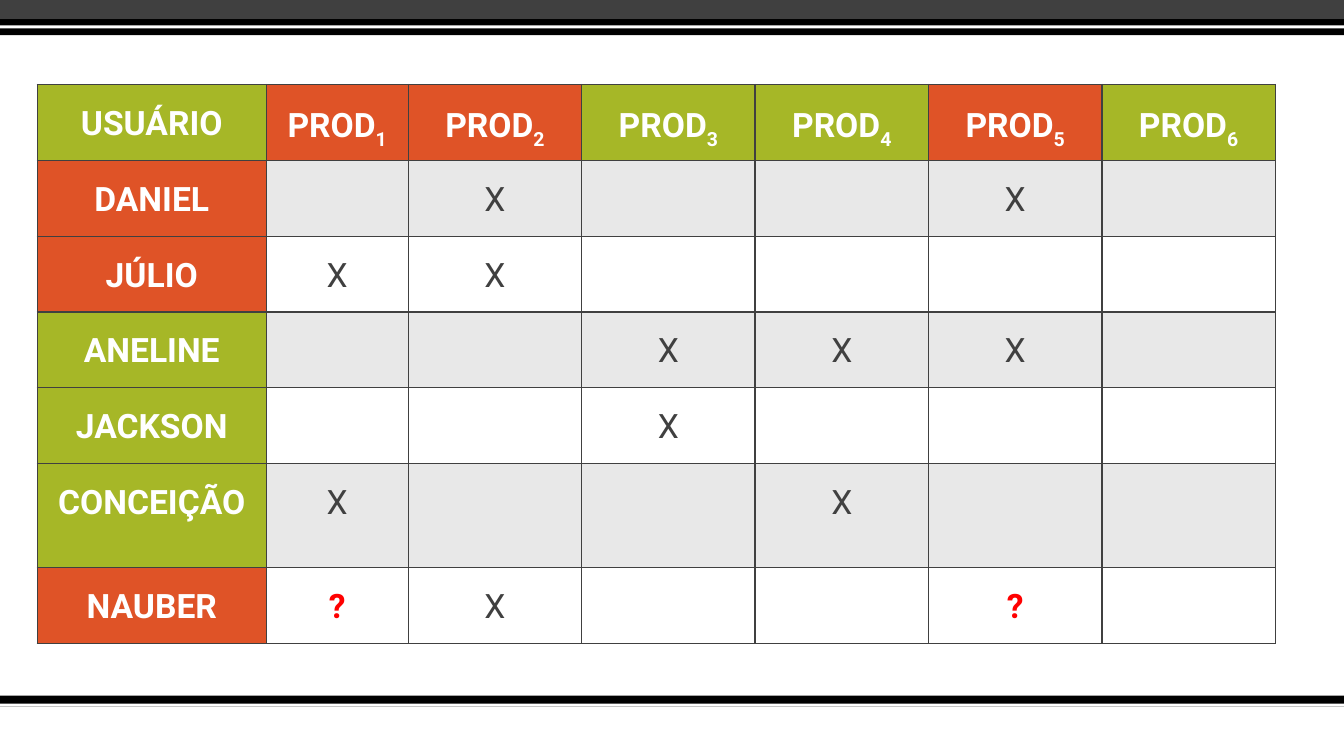
from lxml import etree
from pptx import Presentation
from pptx.dml.color import RGBColor
from pptx.enum import shapes, text
from pptx.oxml.ns import qn
from pptx.util import Cm, Pt

BLACK = RGBColor(0x00, 0x00, 0x00)
WHITE = RGBColor(0xFF, 0xFF, 0xFF)
DARK = RGBColor(0x40, 0x40, 0x40)
BAND = RGBColor(0xE8, 0xE8, 0xE8)
GREEN = RGBColor(0xA6, 0xB7, 0x27)
ORANGE = RGBColor(0xDF, 0x53, 0x27)
RED = RGBColor(0xFF, 0x00, 0x00)

PRODUCTS = 6
ORANGE_PRODUCTS = {1, 2, 5}
# user, header colour, one mark per product
USERS = [
    ("DANIEL", ORANGE, " X  X "),
    ("JÚLIO", ORANGE, "XX    "),
    ("ANELINE", GREEN, "  XXX "),
    ("JACKSON", GREEN, "  X   "),
    ("CONCEIÇÃO", GREEN, "X  X  "),
    ("NAUBER", ORANGE, "?X  ? "),
]


def write_cell(cell, content, fill, color=WHITE, bold=True, subscript=""):
    """Fill and outline a table cell, then write its centred text."""
    cell.fill.solid()
    cell.fill.fore_color.rgb = fill
    cell.margin_left = cell.margin_right = Cm(0.18)
    cell.margin_top = cell.margin_bottom = 0
    tcPr = cell._tc.get_or_add_tcPr()
    for i, side in enumerate(("lnL", "lnR", "lnT", "lnB")):
        ln = etree.Element(qn("a:" + side), w=str(Pt(1)))
        solid = etree.SubElement(ln, qn("a:solidFill"))
        etree.SubElement(solid, qn("a:srgbClr"), val=str(DARK))
        tcPr.insert(i, ln)
    p = cell.text_frame.paragraphs[0]
    p.alignment = text.PP_ALIGN.CENTER
    p.line_spacing = 1.5
    for part, baseline in ((content, 0), (subscript, -25000)):
        if part:
            r = p.add_run()
            r.text = part
            r.font.name = "Roboto"
            r.font.size = Pt(24)
            r.font.bold = bold
            r.font.color.rgb = color
            if baseline:
                r.font._element.set("baseline", str(baseline))


prs = Presentation()
prs.slide_width, prs.slide_height = Cm(33.87), Cm(19.05)
s = prs.slides.add_slide(prs.slide_layouts[6])

# Horizontal bands at the foot and the head of the slide
for top, height, color in [
    (17.53, 0.28, BLACK),
    (17.73, 0.08, WHITE),
    (0, 0.48, DARK),
    (0.48, 0.41, BLACK),
    (0.64, 0.08, WHITE),
]:
    sp = s.shapes.add_shape(shapes.MSO_SHAPE.RECTANGLE, 0, Cm(top), prs.slide_width, Cm(height))
    sp.shadow.inherit = False
    sp.fill.solid()
    sp.fill.fore_color.rgb = color
    sp.line.fill.background()

# Purchases table
widths = [5.77, 3.58] + [4.37] * (PRODUCTS - 1)
heights = [1.93 if name == "CONCEIÇÃO" else 1.91 for name in ["USUÁRIO"] + [u[0] for u in USERS]]
heights[5] = 2.62
table = s.shapes.add_table(
    len(heights), len(widths), Cm(0.94), Cm(2.13), Cm(sum(widths)), Cm(sum(heights))
).table
for column, width in zip(table.columns, widths):
    column.width = Cm(width)
for row, height in zip(table.rows, heights):
    row.height = Cm(height)

write_cell(table.cell(0, 0), "USUÁRIO", GREEN)
for n in range(1, PRODUCTS + 1):
    fill = ORANGE if n in ORANGE_PRODUCTS else GREEN
    write_cell(table.cell(0, n), "PROD", fill, subscript=str(n))

for i, (name, fill, marks) in enumerate(USERS, start=1):
    write_cell(table.cell(i, 0), name, fill)
    band = BAND if i % 2 else WHITE
    for n, mark in enumerate(marks, start=1):
        unknown = mark == "?"
        write_cell(table.cell(i, n), mark.strip(), band, RED if unknown else DARK, bold=unknown)

prs.save("out.pptx")
